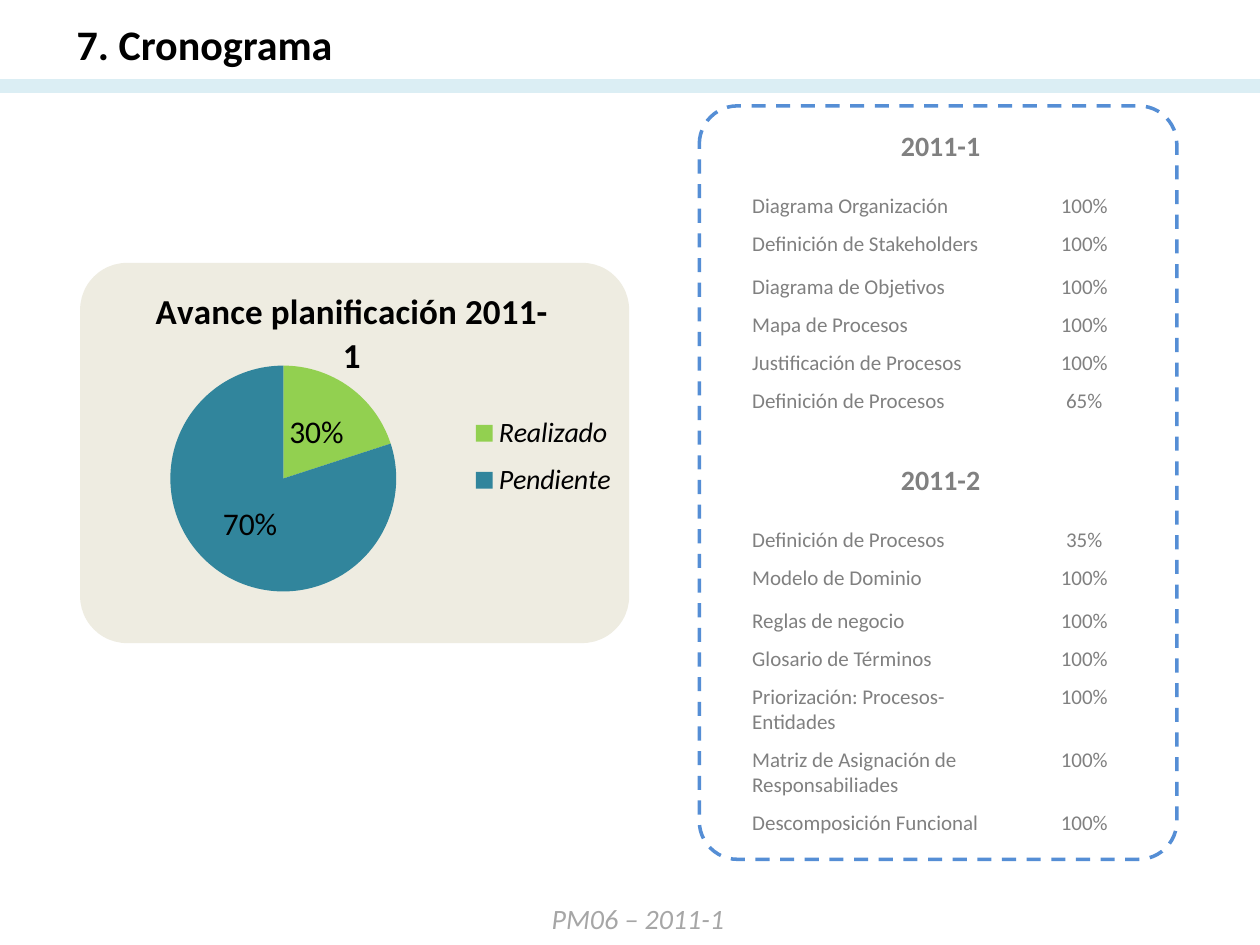
from lxml import etree
from pptx import Presentation
from pptx.chart.data import CategoryChartData
from pptx.dml.color import RGBColor
from pptx.enum.chart import XL_CHART_TYPE, XL_LABEL_POSITION, XL_LEGEND_POSITION
from pptx.enum.dml import MSO_LINE
from pptx.enum.shapes import MSO_CONNECTOR, MSO_SHAPE
from pptx.enum.text import MSO_AUTO_SIZE, PP_ALIGN
from pptx.oxml import parse_xml
from pptx.oxml.ns import qn
from pptx.util import Inches, Pt

THEME = {
    "font": "Calibri",
    "black": "000000", "gray": "808080", "light_gray": "A6A6A6",
    "panel": "EEECE1", "band": "DBEEF4", "frame": "558ED5",
    "done": "92D050", "pending": "31859C",
    "title": 24, "chart_title": 20, "label": 18, "heading": 16, "body": 12,
}


def style(font, size, color, bold=False, italic=False):
    font.name, font.size = THEME["font"], Pt(THEME[size])
    font.color.rgb = RGBColor.from_string(THEME[color])
    font.bold, font.italic = bold, italic


def place(parent, index, **fractions):
    """Set a manual chart layout, in fractions of the chart area."""
    for old in parent.findall(qn("c:layout")):
        parent.remove(old)
    layout = parse_xml(
        '<c:layout xmlns:c="http://schemas.openxmlformats.org/drawingml/2006/chart">'
        '<c:manualLayout/></c:layout>')
    entries = {"xMode": "edge", "yMode": "edge", **fractions}
    if parent.tag == qn("c:plotArea"):
        entries = {"layoutTarget": "inner", **entries}
    for name, value in entries.items():
        etree.SubElement(layout[0], qn("c:" + name)).set("val", str(value))
    parent.insert(index, layout)


presentation = Presentation()
presentation.slide_width, presentation.slide_height = Inches(10), Inches(7.5)
slide = presentation.slides.add_slide(presentation.slide_layouts[6])
shapes = slide.shapes

# Chart panel
panel = shapes.add_shape(MSO_SHAPE.ROUNDED_RECTANGLE,
                         Inches(0.65), Inches(2.1), Inches(4.33), Inches(2.99))
panel.adjustments[0] = 0.12
panel.shadow.inherit = False
panel.fill.solid()
panel.fill.fore_color.rgb = RGBColor.from_string(THEME["panel"])
panel.line.color.rgb = RGBColor.from_string(THEME["panel"])
panel.line.width = Pt(2)

# Band under the title
band = shapes.add_connector(MSO_CONNECTOR.STRAIGHT, 0, Inches(0.68), Inches(10), Inches(0.68))
band.line.color.rgb = RGBColor.from_string(THEME["band"])
band.line.width = Pt(8)
etree.SubElement(band._element.spPr, qn("a:effectLst"))

# Title and footer
for text, left, top, width, height, wrap, look in (
    ("7. Cronograma", 0.51, 0.1, 5.04, 0.5, True, ("title", "black", True, False)),
    ("PM06 – 2011-1", 4.28, 7.11, 1.59, 0.37, False, ("heading", "light_gray", False, True)),
):
    box = shapes.add_textbox(Inches(left), Inches(top), Inches(width), Inches(height))
    box.text_frame.text = text
    box.text_frame.word_wrap = wrap
    box.text_frame.auto_size = MSO_AUTO_SIZE.SHAPE_TO_FIT_TEXT
    style(box.text_frame.paragraphs[0].runs[0].font, *look)

# Progress pie
data = CategoryChartData()
data.categories = ["Realizado", "Pendiente"]
data.add_series("Series 1", (20, 80))
chart = shapes.add_chart(XL_CHART_TYPE.PIE, Inches(0.81), Inches(1.94),
                         Inches(4.17), Inches(3.15), data).chart
style(chart.font, "label", "black")
chart.has_title = True
title_frame = chart.chart_title.text_frame
title_frame.text = "Avance planificación 2011-1"
style(title_frame.paragraphs[0].runs[0].font, "chart_title", "black", bold=True)
chart.has_legend = True
chart.legend.position = XL_LEGEND_POSITION.RIGHT
chart.legend.include_in_layout = False
style(chart.legend.font, "heading", "black", italic=True)

plot = chart.plots[0]
plot.vary_by_categories = True
plot.has_data_labels = True
plot.data_labels.show_percentage = True
plot.data_labels.show_value = False
for index, (color, text) in enumerate((("done", "30%"), ("pending", "70%"))):
    point = plot.series[0].points[index]
    point.format.fill.solid()
    point.format.fill.fore_color.rgb = RGBColor.from_string(THEME[color])
    label = point.data_label
    label.text_frame.text = text
    label.position = XL_LABEL_POSITION.CENTER
    style(label.text_frame.paragraphs[0].runs[0].font, "label", "black")

plot_area = chart._chartSpace.chart.plotArea
place(chart.chart_title._element, 1, x=0.09, y=0.09)
place(plot_area, 0, x=0.13, y=0.3, w=0.43, h=0.58)
place(chart.legend._element, 1, x=0.69, y=0.4, w=0.3, h=0.27)

# Schedule tables
ROW_HEIGHTS = (0.51, 0.29, 0.34, 0.3, 0.3, 0.3, 0.39, 0.39)
SCHEDULES = (
    ("2011-1", 0.98, (
        ("Diagrama Organización", "100%"),
        ("Definición de Stakeholders", "100%"),
        ("Diagrama de Objetivos", "100%"),
        ("Mapa de Procesos", "100%"),
        ("Justificación de Procesos", "100%"),
        ("Definición de Procesos", "65%"))),
    ("2011-2", 3.63, (
        ("Definición de Procesos", "35%"),
        ("Modelo de Dominio", "100%"),
        ("Reglas de negocio", "100%"),
        ("Glosario de Términos", "100%"),
        ("Priorización: Procesos-Entidades", "100%"),
        ("Matriz de Asignación de Responsabiliades", "100%"),
        ("Descomposición Funcional", "100%"))),
)
for period, top, tasks in SCHEDULES:
    rows = ((period, ""),) + tasks
    heights = ROW_HEIGHTS[:len(rows)]
    table = shapes.add_table(len(rows), 2, Inches(5.87), Inches(top),
                             Inches(3.19), Inches(sum(heights))).table
    table.columns[0].width, table.columns[1].width = Inches(2.28), Inches(0.91)
    table.cell(0, 0).merge(table.cell(0, 1))
    for row, (values, height) in enumerate(zip(rows, heights)):
        table.rows[row].height = Inches(height)
        for column, value in enumerate(values):
            cell = table.cell(row, column)
            cell.fill.background()
            if not value:
                continue
            cell.text_frame.text = value
            paragraph = cell.text_frame.paragraphs[0]
            centred = row == 0 or column == 1
            paragraph.alignment = PP_ALIGN.CENTER if centred else PP_ALIGN.LEFT
            style(paragraph.runs[0].font, "body" if row else "heading", "gray", bold=row == 0)

# Dashed frame around the schedules
frame = shapes.add_shape(MSO_SHAPE.ROUNDED_RECTANGLE,
                         Inches(5.55), Inches(0.84), Inches(3.79), Inches(5.98))
frame.adjustments[0] = 0.08
frame.shadow.inherit = False
frame.fill.background()
frame.line.color.rgb = RGBColor.from_string(THEME["frame"])
frame.line.width = Pt(2)
frame.line.dash_style = MSO_LINE.DASH

presentation.save("out.pptx")
